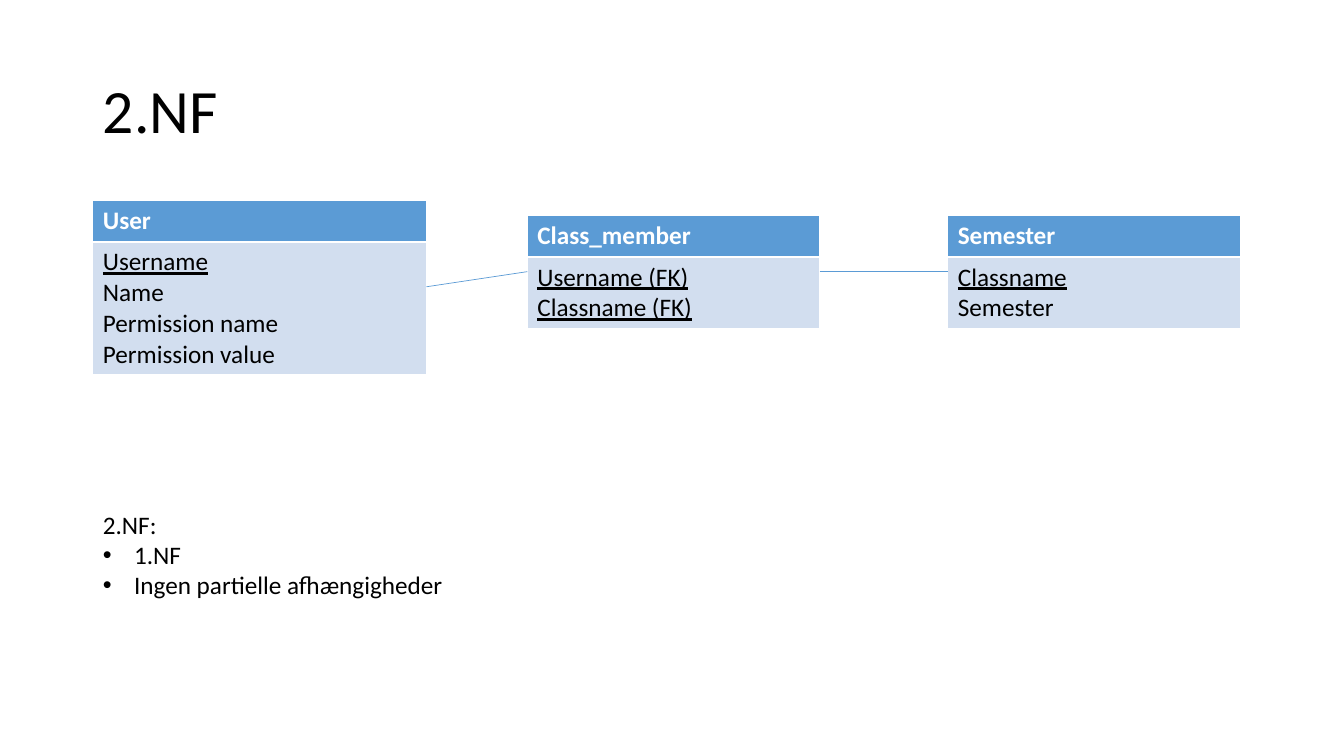
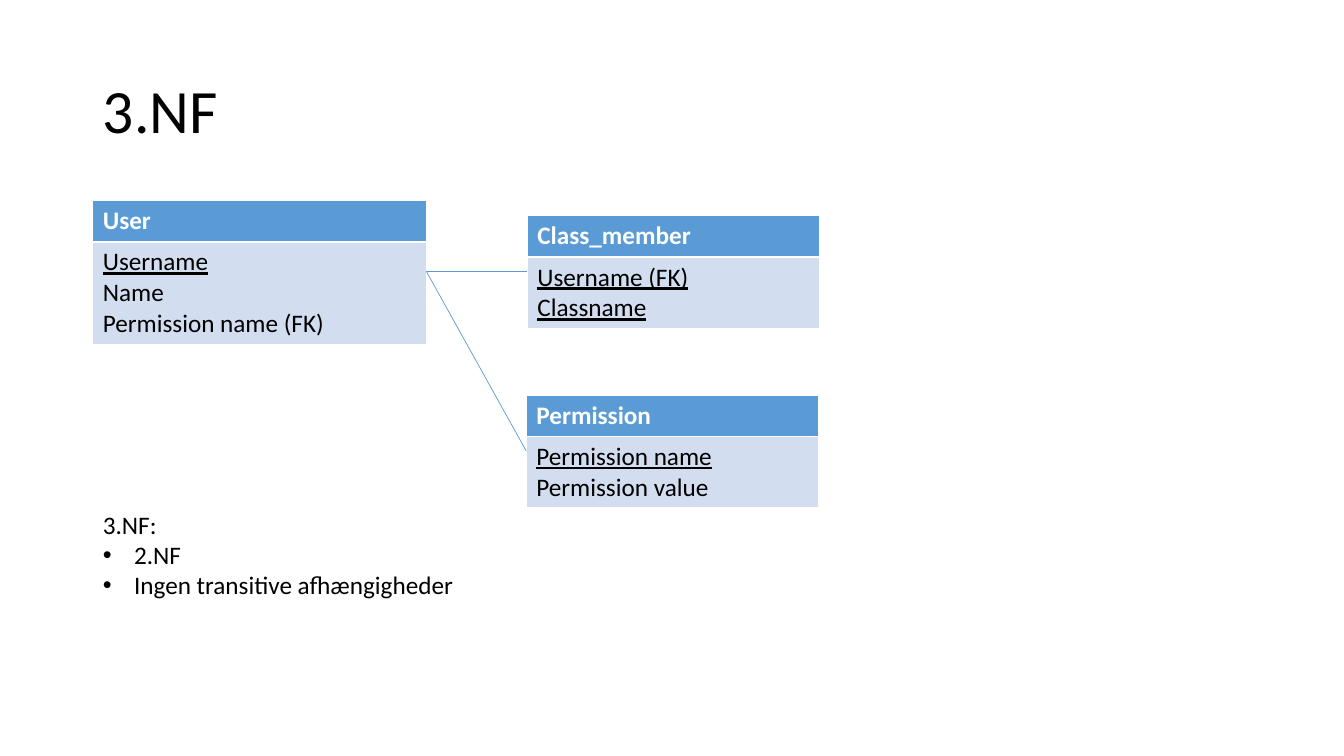
from dataclasses import dataclass

from lxml.etree import SubElement
from pptx import Presentation
from pptx.dml.color import RGBColor
from pptx.enum.shapes import MSO_CONNECTOR
from pptx.enum.text import MSO_ANCHOR, MSO_AUTO_SIZE, PP_ALIGN
from pptx.oxml.ns import qn
from pptx.util import Inches, Pt


@dataclass(frozen=True)
class Theme:
    font: str = "Calibri"
    title_size: int = 44
    text_size: int = 18
    text: RGBColor = RGBColor(0x00, 0x00, 0x00)
    header_text: RGBColor = RGBColor(0xFF, 0xFF, 0xFF)
    accent: RGBColor = RGBColor(0x5B, 0x9B, 0xD5)
    cell: RGBColor = RGBColor(0xD2, 0xDE, 0xEF)


theme = Theme()
LEFT = 0.92
HEADER_HEIGHT = 0.41
LINE_HEIGHT = 0.3
CELL_PADDING = 0.1
BULLET_INDENT = 0.31

# Each entity: name, left, top, width, key fields, other fields
# Each relation: entity on the left, entity on the right
slides = [
    {
        "title": "2.NF",
        "entities": [
            ("User", LEFT, 1.99, 3.31, ["Username"],
             ["Name", "Permission name", "Permission value"]),
            ("Class_member", 5.23, 2.14, 2.9,
             ["Username (FK)", "Classname (FK)"], []),
            ("Semester", 9.4, 2.14, 2.9, ["Classname"], ["Semester"]),
        ],
        "relations": [("User", "Class_member"), ("Class_member", "Semester")],
        "rules": ["1.NF", "Ingen partielle afhængigheder"],
    },
    {
        "title": "3.NF",
        "entities": [
            ("User", LEFT, 1.99, 3.31, ["Username"],
             ["Name", "Permission name (FK)"]),
            ("Class_member", 5.23, 2.14, 2.9,
             ["Username (FK)", "Classname"], []),
            ("Permission", 5.22, 3.92, 2.9,
             ["Permission name"], ["Permission value"]),
        ],
        "relations": [("User", "Class_member"), ("User", "Permission")],
        "rules": ["2.NF", "Ingen transitive afhængigheder"],
    },
]


def place(shape, left, top, width, height):
    shape.left, shape.top = Inches(left), Inches(top)
    shape.width, shape.height = Inches(width), Inches(height)


def write_lines(frame, lines, size=theme.text_size, color=theme.text,
                bold=False, underlined=0):
    """Write one paragraph per line; the first `underlined` lines are keys."""
    for index, line in enumerate(lines):
        para = frame.paragraphs[0] if index == 0 else frame.add_paragraph()
        para.alignment = PP_ALIGN.LEFT
        para.space_before = Pt(0)
        span = para.add_run()
        span.text = line
        span.font.name = theme.font
        span.font.size = Pt(size)
        span.font.color.rgb = color
        span.font.bold = bold
        span.font.underline = index < underlined


deck = Presentation()
deck.slide_width, deck.slide_height = Inches(13.33), Inches(7.5)

for content in slides:
    page = deck.slides.add_slide(deck.slide_layouts[1])

    # Title
    title = page.shapes.title
    place(title, LEFT, 0.4, 11.5, 1.45)
    title.text_frame.vertical_anchor = MSO_ANCHOR.MIDDLE
    write_lines(title.text_frame, [content["title"]], theme.title_size)
    title.text_frame.paragraphs[0].line_spacing = 0.9

    # Entity tables
    edges = {}
    for name, left, top, width, keys, fields in content["entities"]:
        body_height = LINE_HEIGHT * len(keys + fields) + CELL_PADDING
        height = HEADER_HEIGHT + body_height
        table = page.shapes.add_table(
            2, 1, Inches(left), Inches(top), Inches(width), Inches(height)).table
        table.rows[0].height = Inches(HEADER_HEIGHT)
        table.rows[1].height = Inches(body_height)
        header, body = table.cell(0, 0), table.cell(1, 0)
        for cell, color in ((header, theme.accent), (body, theme.cell)):
            cell.fill.solid()
            cell.fill.fore_color.rgb = color
        write_lines(header.text_frame, [name], color=theme.header_text, bold=True)
        write_lines(body.text_frame, keys + fields, underlined=len(keys))
        edges[name] = (left, left + width, top + height / 2)

    # Relations run from right edge to left edge at mid height
    for source, target in content["relations"]:
        _, start_x, start_y = edges[source]
        end_x, _, end_y = edges[target]
        relation = page.shapes.add_connector(
            MSO_CONNECTOR.STRAIGHT, Inches(start_x), Inches(start_y),
            Inches(end_x), Inches(end_y))
        relation.line.color.rgb = theme.accent
        relation.line.width = Pt(0.5)
        SubElement(relation.element.spPr, qn("a:effectLst"))

    # Rules of the normal form
    rules = page.placeholders[1]
    place(rules, LEFT, 5, 4.24, 1.31)
    rules.text_frame.auto_size = MSO_AUTO_SIZE.NONE
    write_lines(rules.text_frame, [content["title"] + ":"] + content["rules"])
    for index, para in enumerate(rules.text_frame.paragraphs):
        properties = para._p.get_or_add_pPr()
        indent = Inches(BULLET_INDENT) if index else 0
        properties.set("marL", str(indent))
        properties.set("indent", str(-indent))
        if index:
            SubElement(properties, qn("a:buFont"), typeface="Arial")
            SubElement(properties, qn("a:buChar"), char="•")
        else:
            SubElement(properties, qn("a:buNone"))

deck.save("out.pptx")
